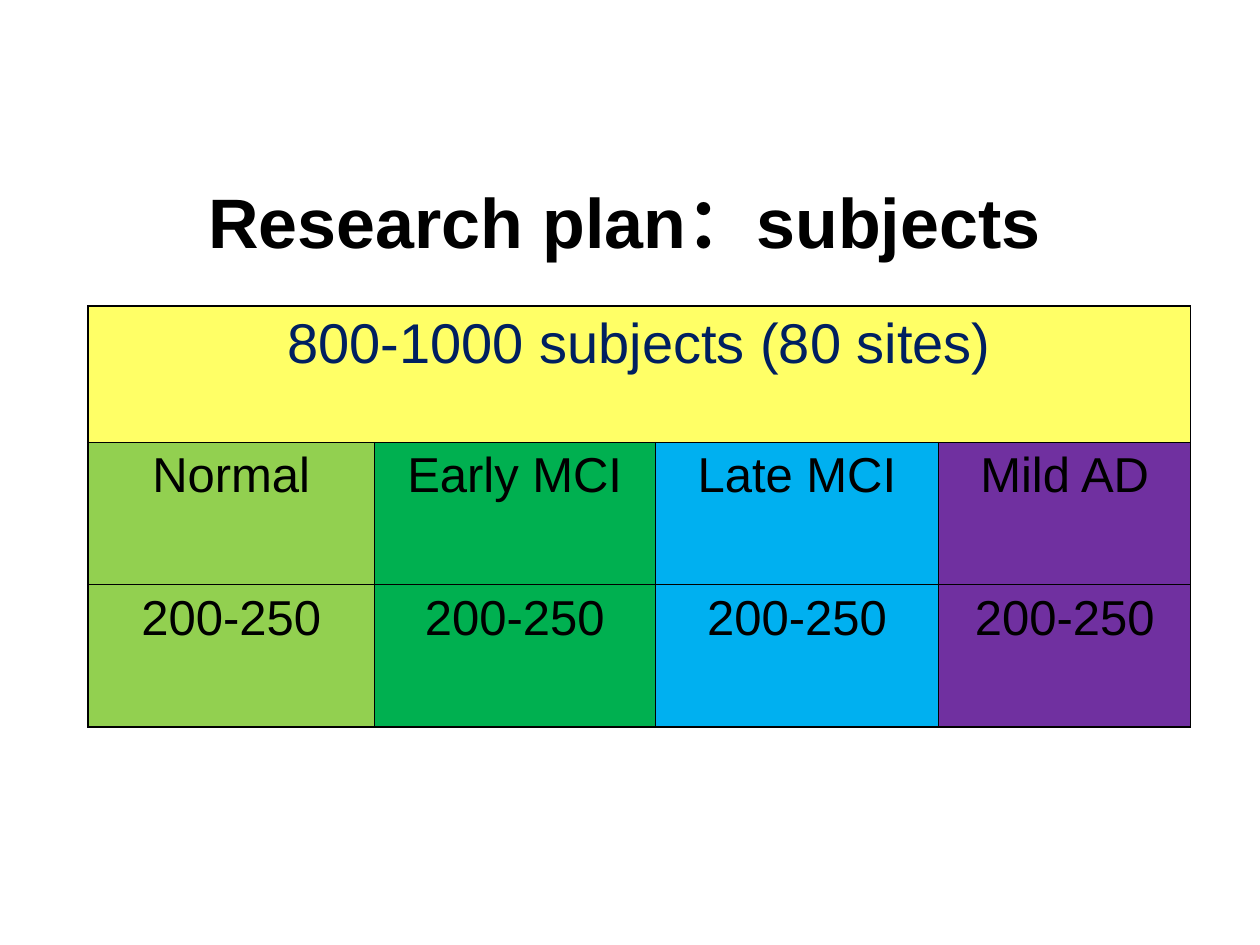
from lxml.etree import SubElement
from pptx import Presentation
from pptx.dml.color import RGBColor
from pptx.enum.text import MSO_ANCHOR as Anchor, PP_ALIGN as Align
from pptx.oxml import parse_xml
from pptx.oxml.ns import nsdecls, qn
from pptx.util import Inches, Pt

BLACK = RGBColor(0x00, 0x00, 0x00)
NAVY = RGBColor(0x00, 0x20, 0x60)
YELLOW = RGBColor(0xFF, 0xFF, 0x66)
LIME = RGBColor(0x92, 0xD0, 0x50)
GREEN = RGBColor(0x00, 0xB0, 0x50)
BLUE = RGBColor(0x00, 0xB0, 0xF0)
PURPLE = RGBColor(0x70, 0x30, 0xA0)

FONT = "Arial"
THIN, THICK = Pt(0.45), Pt(1.08)
HEADING = "800-1000 subjects (80 sites)"
GROUPS = [
    ("Normal", "200-250", LIME, 2.27),
    ("Early MCI", "200-250", GREEN, 2.23),
    ("Late MCI", "200-250", BLUE, 2.25),
    ("Mild AD", "200-250", PURPLE, 2),
]
ROW_HEIGHTS = [1.08, 1.13, 1.13]


def write(frame, text, size, color, bold=False):
    """Put one centred run of text into a text frame."""
    para = frame.paragraphs[0]
    para.alignment = Align.CENTER
    span = para.add_run()
    span.text = text
    span.font.name = FONT
    span.font.size = Pt(size)
    span.font.bold = bold
    span.font.color.rgb = color


def add_title(page, text):
    """Add the slide title."""
    box = page.shapes.add_textbox(Inches(1.48), Inches(1.25), Inches(6.95), Inches(1))
    box.text_frame.word_wrap = True
    box.text_frame.vertical_anchor = Anchor.MIDDLE
    write(box.text_frame, text, 40, BLACK, bold=True)


def set_borders(cell, outer_sides):
    """Draw black borders, thicker on the sides at the table edge."""
    properties = cell._tc.get_or_add_tcPr()
    for position, side in enumerate("LRTB"):
        width = THICK if side in outer_sides else THIN
        line = parse_xml(f'<a:ln{side} {nsdecls("a")} w="{width}"/>')
        fill = SubElement(line, qn("a:solidFill"))
        SubElement(fill, qn("a:srgbClr"), val=str(BLACK))
        properties.insert(position, line)


def fill_cell(cell, color, outer_sides):
    """Colour a cell and outline it."""
    cell.fill.solid()
    cell.fill.fore_color.rgb = color
    set_borders(cell, outer_sides)


def add_subject_table(page):
    """Add the table of subject groups under a merged heading."""
    width = sum(group[3] for group in GROUPS)
    table = page.shapes.add_table(
        len(ROW_HEIGHTS), len(GROUPS),
        Inches(0.7), Inches(2.43), Inches(width), Inches(sum(ROW_HEIGHTS)),
    ).table
    for row, height in zip(table.rows, ROW_HEIGHTS):
        row.height = Inches(height)
    last = len(GROUPS) - 1
    for index, (name, count, color, column_width) in enumerate(GROUPS):
        table.columns[index].width = Inches(column_width)
        sides = {0: "L", last: "R"}.get(index, "")
        fill_cell(table.cell(0, index), YELLOW, sides + "T")
        for row, text, edge in ((1, name, ""), (2, count, "B")):
            cell = table.cell(row, index)
            fill_cell(cell, color, sides + edge)
            write(cell.text_frame, text, 28, BLACK)
    heading = table.cell(0, 0)
    heading.merge(table.cell(0, last))
    write(heading.text_frame, HEADING, 32, NAVY)


def main():
    """Build and save the deck."""
    deck = Presentation()
    deck.slide_width, deck.slide_height = Inches(10), Inches(7.5)
    page = deck.slides.add_slide(deck.slide_layouts[6])
    add_title(page, "Research plan：subjects")
    add_subject_table(page)
    deck.save("out.pptx")


if __name__ == "__main__":
    main()
